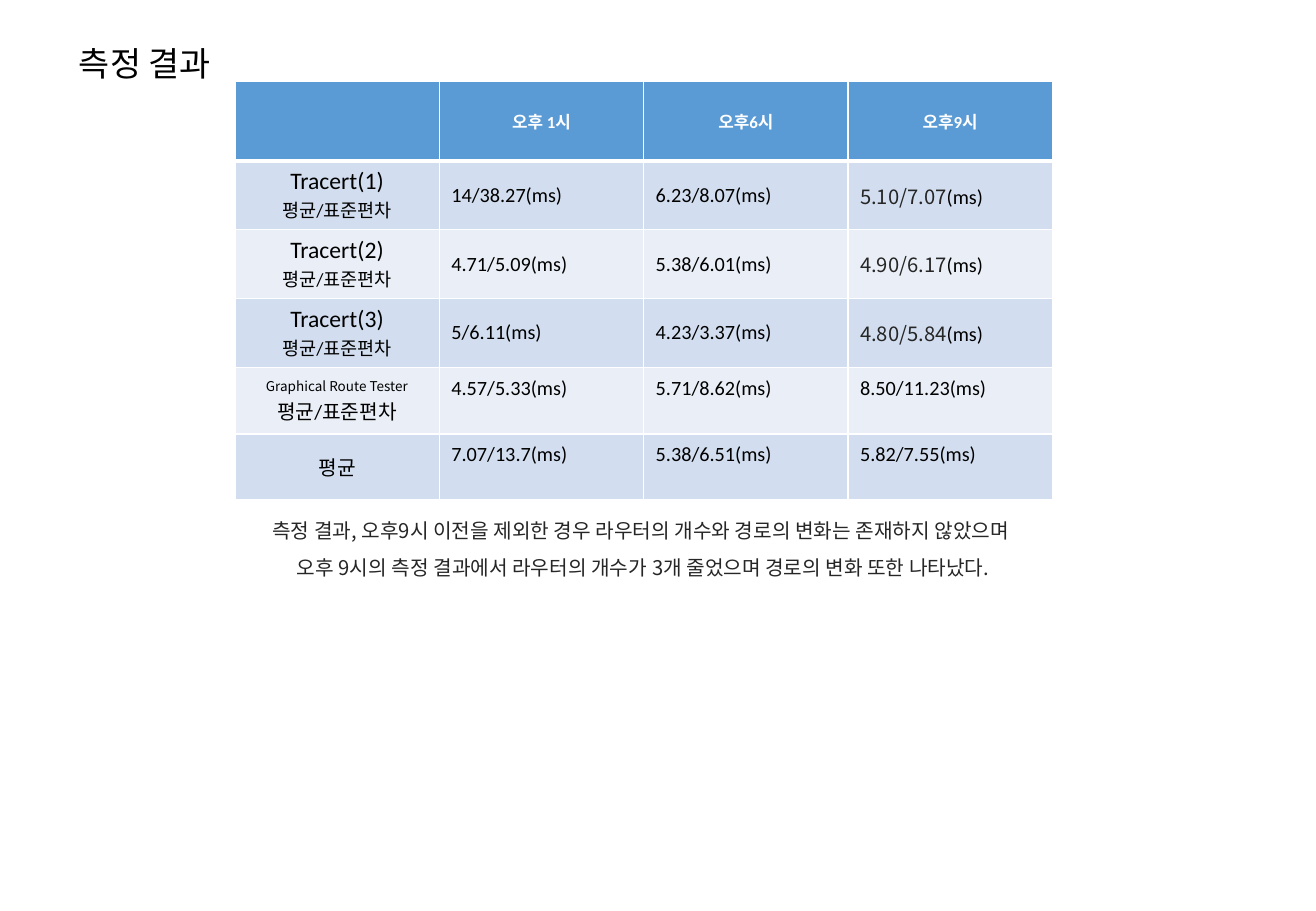
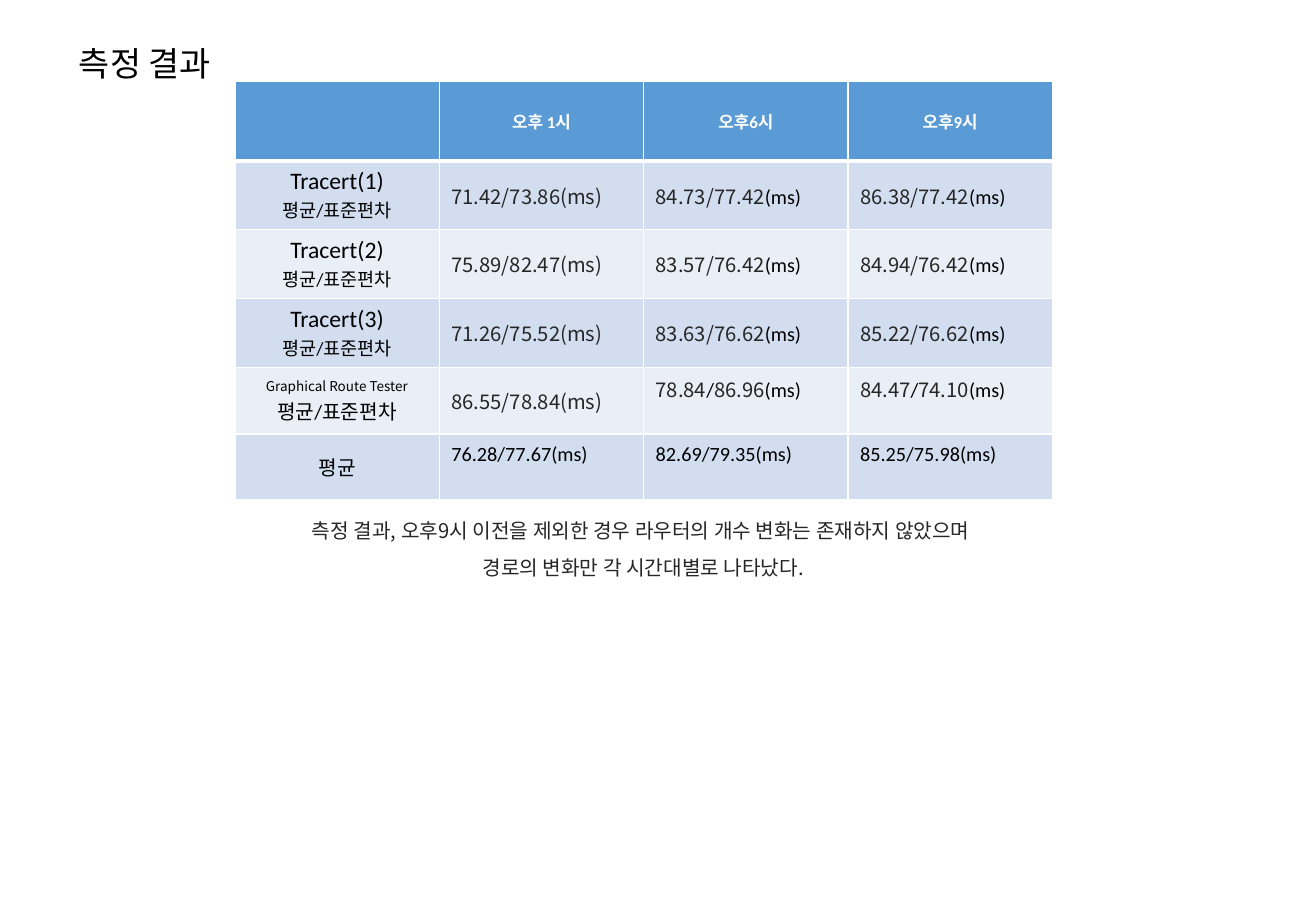
from lxml.etree import SubElement
from pptx import Presentation
from pptx.dml.color import RGBColor
from pptx.enum.text import MSO_ANCHOR, MSO_AUTO_SIZE, PP_ALIGN
from pptx.oxml import parse_xml
from pptx.oxml.ns import nsdecls, qn
from pptx.util import Pt

# Shared look
BLACK = RGBColor(0x00, 0x00, 0x00)
WHITE = RGBColor(0xFF, 0xFF, 0xFF)
GREY = RGBColor(0x26, 0x26, 0x26)
HEADER_BLUE = RGBColor(0x5B, 0x9B, 0xD5)
BANDS = [RGBColor(0xD2, 0xDE, 0xEF), RGBColor(0xEA, 0xEF, 0xF7)]
KOREAN = "Noto Sans CJK KR"
LATIN = "Calibri"

COLUMN_WIDTH = 121.15
ROW_HEIGHTS = [47, 40.8, 40.8, 40.8, 39.4, 39.4]
HEADINGS = ["", "오후 1시", "오후6시", "오후9시"]

# Row labels: lines of (text, size, font)
LABELS = [[(f"Tracert({number})", 14, LATIN), ("평균/표준편차", 11, LATIN)]
          for number in (1, 2, 3)]
LABELS.append([("Graphical Route Tester", 8, KOREAN), ("평균/표준편차", 12, LATIN)])
LABELS.append([("평균", 12, LATIN)])

# Values: pieces between bars alternate grey Korean font and black Latin font
PAGES = [
    ([["|14/38.27(ms)", "|6.23/8.07(ms)", "5.10/7.07|(ms)"],
      ["|4.71/5.09(ms)", "|5.38/6.01(ms)", "4.90/6.17|(ms)"],
      ["|5/6.11(ms)", "|4.23/3.37(ms)", "4.80/5.84|(ms)"],
      ["|4.57/5.33(ms)", "|5.71/8.62(ms)", "|8.50/11.23(ms)"],
      ["|7.07/13.7(ms)", "|5.38/6.51(ms)", "|5.82/7.55(ms)"]],
     ["측정 결과, 오후9시 이전을 제외한 경우 라우터의 개수와 경로의 변화는 존재하지 않았으며 ",
      "오후 9시의 측정 결과에서 라우터의 개수가 3개 줄었으며 경로의 변화 또한 나타났다."]),
    ([["71.42/73.86(ms)", "84.73/77.42|(ms)", "86.38/77.42|(ms)"],
      ["75.89/82.47(ms)", "83.57/76.42|(ms)", "84.94/76.42|(ms)"],
      ["71.26/75.52(ms)", "83.63/76.62|(ms)", "85.22/76.62|(ms)"],
      ["86.55/78.84(ms)", "78.84|/|86.96|(ms)", "84.47|/|74.10|(ms)"],
      ["|76.28/77.67(ms)", "|82.69/79.35(ms)", "|85.25/75.98(ms)"]],
     ["측정 결과, 오후9시 이전을 제외한 경우 라우터의 개수 변화는 존재하지 않았으며 ",
      "경로의 변화만 각 시간대별로 나타났다."]),
]


def add_text(para, text, font=LATIN, size=12, color=BLACK, bold=False,
             align=PP_ALIGN.LEFT, kerned=True):
    para.alignment = align
    span = para.add_run()
    span.text = text
    span.font.name = font
    span.font.size = Pt(size)
    span.font.bold = bold
    span.font.color.rgb = color
    SubElement(span.font._element, qn("a:ea")).set("typeface", KOREAN)
    if not kerned:
        span.font._element.set("kern", "0")


def format_cell(cell, fill, top=1, bottom=1):
    cell.fill.solid()
    cell.fill.fore_color.rgb = fill
    cell.vertical_anchor = MSO_ANCHOR.MIDDLE
    widths = {"lnL": 1, "lnR": 1, "lnT": top, "lnB": bottom}
    for place, (side, width) in enumerate(widths.items()):
        cell._tc.get_or_add_tcPr().insert(place, parse_xml(
            f'<a:{side} {nsdecls("a")} w="{Pt(width)}"><a:solidFill>'
            f'<a:srgbClr val="{WHITE}"/></a:solidFill></a:{side}>'))


deck = Presentation()
deck.slide_width, deck.slide_height = Pt(780), Pt(540)

for values, summary in PAGES:
    page = deck.slides.add_slide(deck.slide_layouts[5])

    # Summary below the table
    box = page.shapes.add_textbox(Pt(106.6), Pt(296.6), Pt(549.4), Pt(48.2))
    box.text_frame.word_wrap = True
    for index, line in enumerate(summary):
        para = box.text_frame.add_paragraph() if index else box.text_frame.paragraphs[0]
        para.line_spacing = 1.5
        add_text(para, line, font=KOREAN, color=GREY, align=PP_ALIGN.CENTER, kerned=False)

    # Title
    title = page.shapes.title
    title.left, title.top, title.width, title.height = Pt(39.6), Pt(21.6), Pt(571.7), Pt(31.7)
    title.text_frame.auto_size = MSO_AUTO_SIZE.NONE
    title.text_frame.vertical_anchor = MSO_ANCHOR.TOP
    add_text(title.text_frame.paragraphs[0], "측정 결과", font="Arial", size=20, kerned=False)

    # Table frame
    table = page.shapes.add_table(
        len(ROW_HEIGHTS), len(HEADINGS), Pt(139.2), Pt(48.4),
        Pt(COLUMN_WIDTH * len(HEADINGS)), Pt(sum(ROW_HEIGHTS))).table
    table.first_row = table.horz_banding = False
    for column in table.columns:
        column.width = Pt(COLUMN_WIDTH)
    for row, height in zip(table.rows, ROW_HEIGHTS):
        row.height = Pt(height)

    # Heading row
    for column, heading in enumerate(HEADINGS):
        cell = table.cell(0, column)
        format_cell(cell, HEADER_BLUE, bottom=3)
        if heading:
            add_text(cell.text_frame.paragraphs[0], heading, size=10, color=WHITE,
                     bold=True, align=PP_ALIGN.CENTER)

    # Measurement rows
    for row, (label, results) in enumerate(zip(LABELS, values), start=1):
        fill = BANDS[(row - 1) % 2]
        top = 3 if row == 1 else 1
        cell = table.cell(row, 0)
        format_cell(cell, fill, top=top)
        if row <= 3:
            cell.vertical_anchor = MSO_ANCHOR.TOP
        for index, (line, size, font) in enumerate(label):
            para = cell.text_frame.add_paragraph() if index else cell.text_frame.paragraphs[0]
            add_text(para, line, font=font, size=size, align=PP_ALIGN.CENTER)

        for column, result in enumerate(results, start=1):
            cell = table.cell(row, column)
            format_cell(cell, fill, top=top)
            # Values with a Latin part sit higher in the last two rows
            if row >= 4 and "|" in result:
                cell.margin_bottom = Pt(18)
            for index, piece in enumerate(result.split("|")):
                if piece:
                    font, color = [(KOREAN, GREY), (LATIN, BLACK)][index % 2]
                    add_text(cell.text_frame.paragraphs[0], piece, font=font, color=color)

deck.save("out.pptx")
